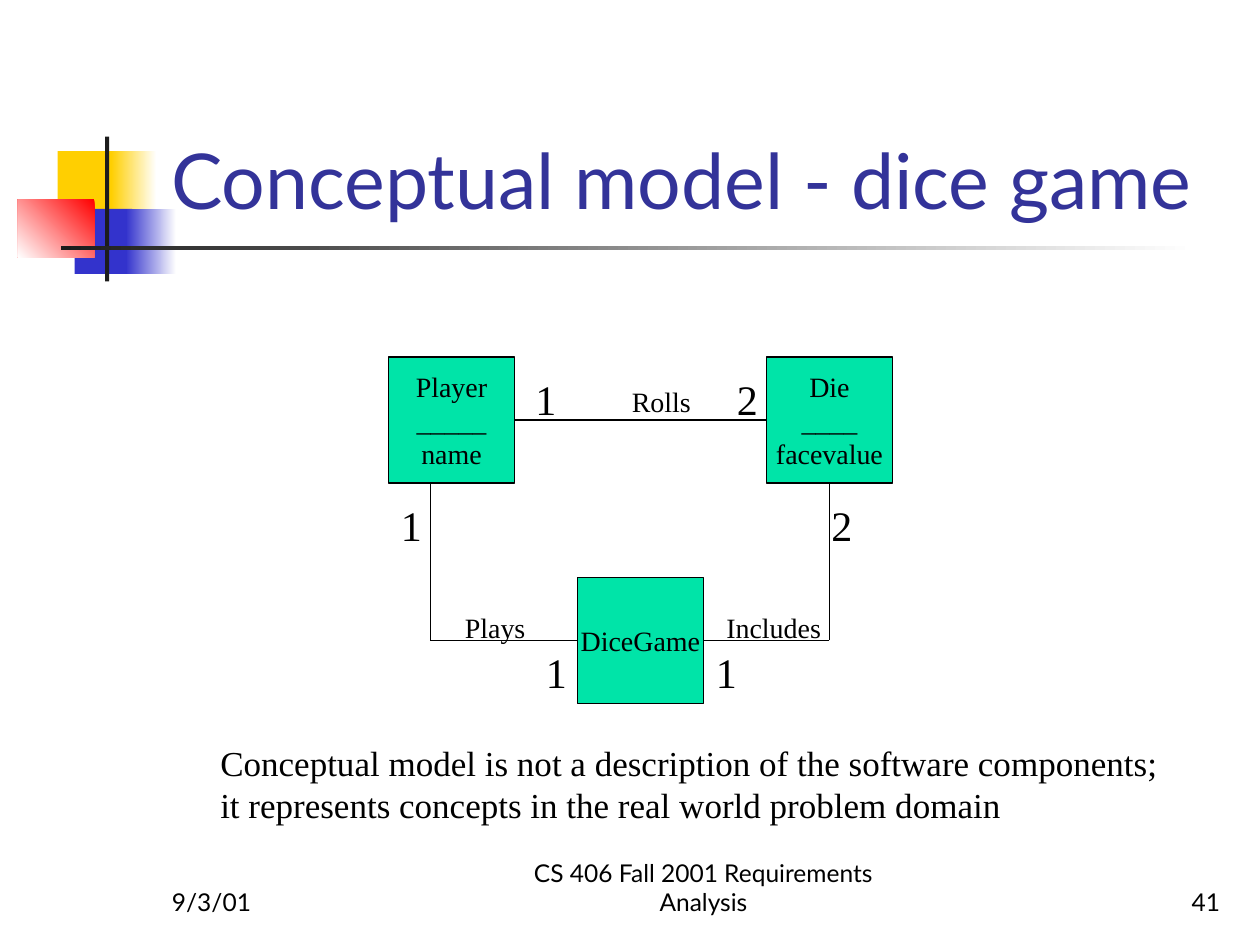
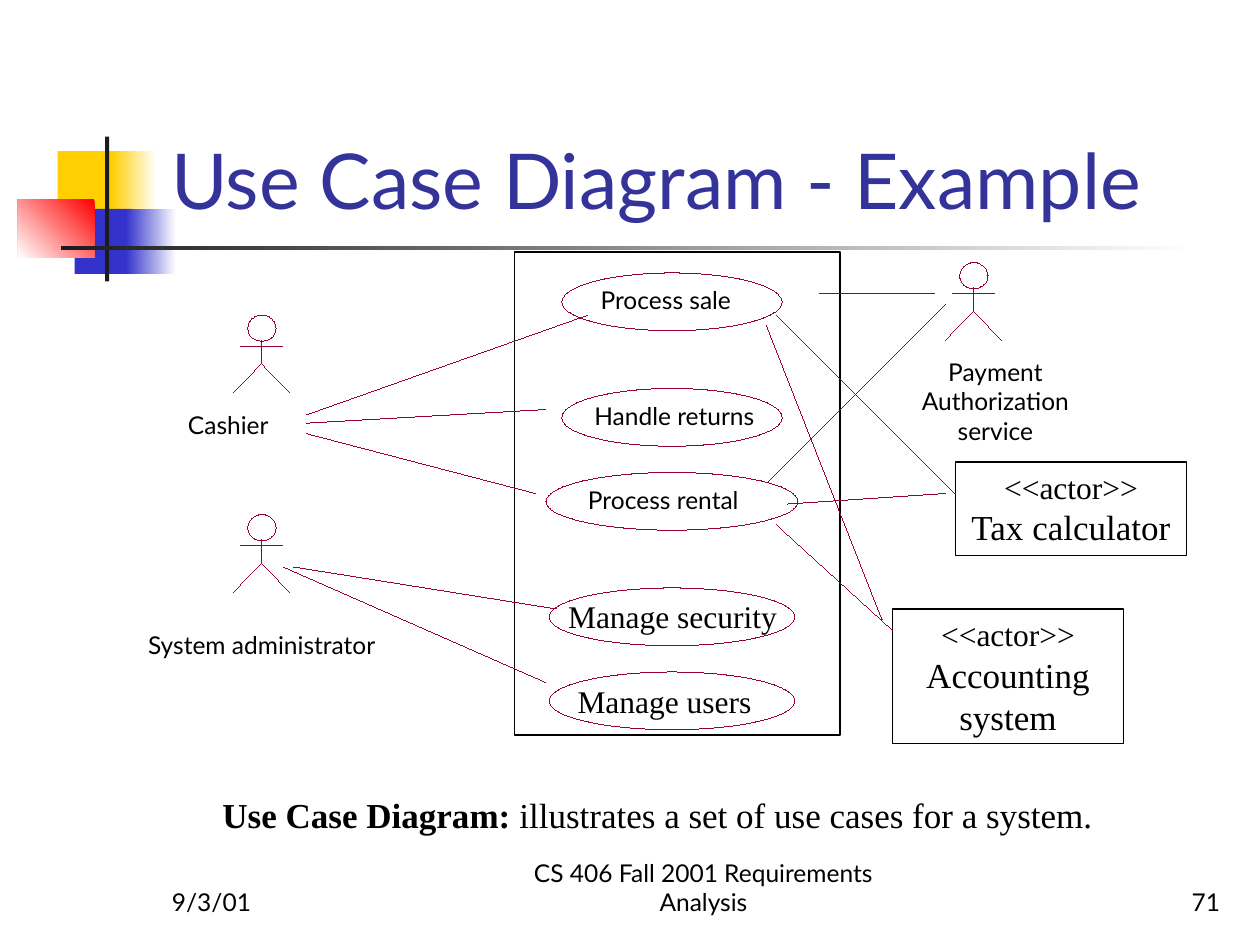
from pptx import Presentation, util as u
from pptx.dml.color import RGBColor
from pptx.enum import shapes, text
from pptx.oxml.ns import qn
from lxml import etree

CELL = u.Inches(1) / 12  # the slide is a grid of 120 columns and 90 rows


class Theme:
    title, black, white = "333399", "000000", "FFFFFF"
    yellow, blue, red, bar = "FFCF01", "3333CC", "FF0000", "1C1C1C"
    concept, sketch = "00E4A8", "990033"
    sans, serif = "Lato", "Times New Roman"
    heading, multiplicity, note, actor, label, small = 44, 24, 20, 18, 16, 14
    border, hairline = 0.75, 0.01  # a width of 0 would fall back to the shape style


RECT, OVAL = shapes.MSO_SHAPE.RECTANGLE, shapes.MSO_SHAPE.OVAL
LEFT, CENTER, RIGHT = text.PP_ALIGN.LEFT, text.PP_ALIGN.CENTER, text.PP_ALIGN.RIGHT
TOP, MIDDLE, BOTTOM = text.MSO_ANCHOR.TOP, text.MSO_ANCHOR.MIDDLE, text.MSO_ANCHOR.BOTTOM


def add_box(canvas, place, words="", kind=None, fill=None, line=None, width=Theme.border,
            size=Theme.label, font=Theme.serif, align=LEFT, anchor=TOP,
            wrap=False, grow=True, inset=True):
    """Add a text box, or a preset shape if kind is given, at a place in grid cells."""
    place = [round(cells * CELL) for cells in place]
    if kind is None:
        box = canvas.add_textbox(*place)
    else:
        box = canvas.add_shape(kind, *place)
        box.shadow.inherit = False
        box.fill.background()
        box.line.fill.background()
    if fill:
        box.fill.solid()
        box.fill.fore_color.rgb = RGBColor.from_string(fill)
    if line:
        box.line.color.rgb = RGBColor.from_string(line)
        box.line.width = u.Pt(width)
    if words:
        frame = box.text_frame
        frame.text = words
        frame.word_wrap = wrap
        frame.vertical_anchor = anchor
        frame.auto_size = text.MSO_AUTO_SIZE.SHAPE_TO_FIT_TEXT if grow else text.MSO_AUTO_SIZE.NONE
        if not inset:
            frame.margin_left = frame.margin_right = frame.margin_top = frame.margin_bottom = 0
        for para in frame.paragraphs:
            para.alignment = align
            for span in para.runs:
                span.font.name, span.font.size = font, u.Pt(size)
                span.font.color.rgb = RGBColor.from_string(Theme.black)
    return box


def add_line(canvas, ends, color=Theme.sketch, width=Theme.hairline):
    ends = [round(cells * CELL) for cells in ends]
    line = canvas.add_connector(shapes.MSO_CONNECTOR.STRAIGHT, *ends)
    line.line.color.rgb = RGBColor.from_string(color)
    line.line.width = u.Pt(width)
    etree.SubElement(line.element.spPr, qn("a:effectLst"))
    return line


deck = Presentation()
deck.slide_width, deck.slide_height = round(120 * CELL), round(90 * CELL)

# Titles and footers
pages = []
for heading, number in [("Conceptual model - dice game", "41"), ("Use Case Diagram - Example", "71")]:
    page = deck.slides.add_slide(deck.slide_layouts[5])
    pages.append(page)
    title = page.shapes.title
    title.left, title.top, title.width, title.height = [
        round(cells * CELL) for cells in (15.1, 2.8, 102.2, 19.2)]
    frame = title.text_frame
    frame.text = heading
    frame.vertical_anchor = BOTTOM
    frame.auto_size = text.MSO_AUTO_SIZE.NONE
    para = frame.paragraphs[0]
    para.alignment = LEFT
    font = para.runs[0].font
    font.name, font.size = Theme.sans, u.Pt(Theme.heading)
    font.color.rgb = RGBColor.from_string(Theme.title)
    for left, width, words, align in [
        (48, 38, "CS 406 Fall 2001 Requirements Analysis", CENTER),
        (92.4, 25, number, RIGHT),
        (15.2, 25, "9/3/01", LEFT),
    ]:
        add_box(page.shapes, (left, 81.9, width, 6), words, size=Theme.small, font=Theme.sans,
                align=align, anchor=BOTTOM, wrap=True, grow=False)

model, use_cases = [page.shapes for page in pages]

# Ornament, drawn once and moved to the slide master
ornament = [
    ((5.5, 14.4, 5.8, 6.2), Theme.yellow, None, 0),
    ((10.6, 14.4, 4.3, 6.2), Theme.white, Theme.yellow, 180),
    ((7.1, 19.9, 5.5, 6.2), Theme.blue, None, 0),
    ((12, 19.9, 4.8, 6.2), Theme.white, Theme.blue, 180),
    ((1.7, 19, 7.3, 5.5), Theme.red, Theme.white, 225),
    ((10, 13, 0.4, 13.8), Theme.bar, None, 0),
    ((5.8, 23.4, 108, 0.4), Theme.white, Theme.bar, 180),
]
for order, (place, start, end, angle) in enumerate(ornament):
    block = add_box(model, place, kind=RECT, fill=start)
    if end:
        block.fill.gradient()
        block.fill.gradient_angle = angle
        for stop, color in zip(block.fill.gradient_stops, (start, end)):
            stop.color.rgb = RGBColor.from_string(color)
    block.element.nvSpPr.cNvPr.id = 20 + order
    deck.slide_master.shapes.element.append(block.element)

# Slide 1: concepts, their associations and multiplicities
player, die, game = [
    add_box(model, (left, top, 12, 12), words, RECT, Theme.concept, Theme.black,
            align=CENTER, anchor=MIDDLE, grow=False)
    for left, top, words in [
        (37, 34, "Player\n_____\nname"),
        (73, 34, "Die\n____\nfacevalue"),
        (55, 55, "DiceGame"),
    ]
]
rolls, plays, plays_up, includes, includes_up = [
    add_line(model, ends, Theme.black, Theme.border)
    for ends in [(49, 40, 73, 40), (55, 61, 41, 61), (41, 61, 41, 46),
                 (67, 61, 79, 61), (79, 61, 79, 46)]
]
rolls.begin_connect(player, 3)
rolls.end_connect(die, 1)
plays.begin_connect(game, 1)
includes.begin_connect(game, 3)
includes_up.end_connect(die, 2)

for left, top, count in [(49.8, 35, "1"), (69, 35, "2"), (78, 47, "2"),
                         (67, 61, "1"), (37, 47, "1"), (50.8, 61, "1")]:
    add_box(model, (left, top, 4.3, 6), count, size=Theme.multiplicity)
for left, top, width, name in [(68, 57.6, 11.4, "Includes"), (43.1, 57.6, 8.2, "Plays"),
                               (59, 36, 8, "Rolls")]:
    add_box(model, (left, top, width, 4.4), name)
add_box(model, (19.8, 70, 91.7, 9.2),
        "Conceptual model is not a description of the software components;\n"
        "it represents concepts in the real world problem domain", size=Theme.note)

# Slide 2: system boundary and use cases
add_box(use_cases, (49, 24, 31, 46), kind=RECT, line=Theme.black)
for top, width, name, label_left, label_top, size, font in [
    (26, 21, "Process sale", 57.2, 27.1, Theme.small, Theme.sans),
    (37, 21, "Handle returns", 56.6, 38.2, Theme.small, Theme.sans),
    (45, 24, "Process rental", 56, 46.2, Theme.small, Theme.sans),
    (56, 23.4, "Manage security", 54.1, 56.9, Theme.actor, Theme.serif),
    (64, 23.4, "Manage users", 55, 65, Theme.actor, Theme.serif),
]:
    use_case = use_cases.add_group_shape().shapes
    add_box(use_case, (64 - width / 2, top, width, 5.5), kind=OVAL,
            line=Theme.sketch, width=Theme.hairline)
    add_box(use_case, (label_left, label_top, 22, size / 5), name,
            size=size, font=font, wrap=True, inset=False)

# Human actors
for left, top, name, label_place, align in [
    (90, 25, "Payment\nAuthorization\nservice", (87.3, 34, 15, 8.4), CENTER),
    (22.2, 30, "Cashier", (17.9, 39, 8.3, 2.8), LEFT),
    (22.2, 49, "System administrator", (14.1, 60, 23.6, 2.8), LEFT),
]:
    figure = use_cases.add_group_shape().shapes
    middle, hip, foot = left + 2.7, top + 4.6, top + 7.4
    add_box(figure, (left + 1.4, top, 2.7, 2.5), kind=OVAL,
            line=Theme.sketch, width=Theme.hairline)
    add_line(figure, (middle, top + 2.4, middle, hip))
    add_line(figure, (left + 0.7, top + 3, left + 4.7, top + 3))
    outline = figure.build_freeform(round(left * CELL), round(foot * CELL))
    outline.add_line_segments([(round(middle * CELL), round(hip * CELL)),
                               (round((left + 5.4) * CELL), round(foot * CELL))], close=False)
    legs = outline.convert_to_shape()
    legs.shadow.inherit = False
    legs.fill.background()
    legs.line.color.rgb = RGBColor.from_string(Theme.sketch)
    legs.line.width = u.Pt(Theme.hairline)
    add_box(use_cases, label_place, name, size=Theme.small, font=Theme.sans,
            align=align, inset=False)

# System actors
for left, top, height, name in [(91, 44, 8.9, "Tax calculator"), (85, 58, 12.8, "Accounting system")]:
    system = add_box(use_cases, (left, top, 22, height), "<<actor>>\n" + name, RECT,
                     line=Theme.black, size=Theme.actor, align=CENTER, wrap=True)
    system.text_frame.paragraphs[1].runs[0].font.size = u.Pt(Theme.note)

# Links between actors and use cases
for ends in [
    (89, 28, 78, 28), (73, 46, 90, 29), (91, 47, 74, 30),
    (56, 30, 29.2, 39.5), (51, 47, 29.2, 41.3), (52, 39, 29.2, 40.3),
    (53, 58, 28, 54), (52, 65, 27, 54),
    (90, 47, 75, 48), (85, 60, 74, 50), (84, 59, 73, 31),
]:
    add_line(use_cases, ends)

definition = add_box(use_cases, (20, 75, 89.2, 5.3), "Use Case Diagram:", size=Theme.note, wrap=True)
para = definition.text_frame.paragraphs[0]
para.runs[0].font.bold = True
span = para.add_run()
span.text = " illustrates a set of use cases for a system."
span.font.name, span.font.size = Theme.serif, u.Pt(Theme.note)
span.font.color.rgb = RGBColor.from_string(Theme.black)

deck.save("out.pptx")
